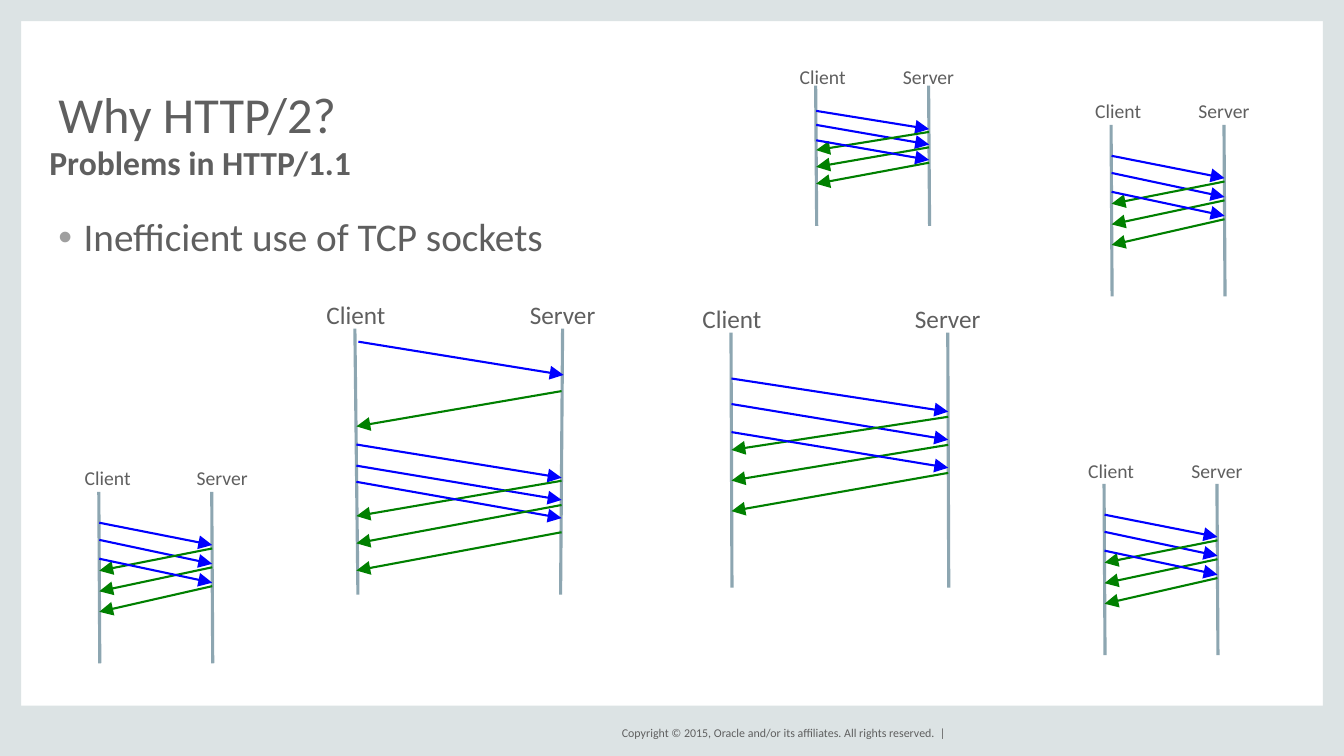
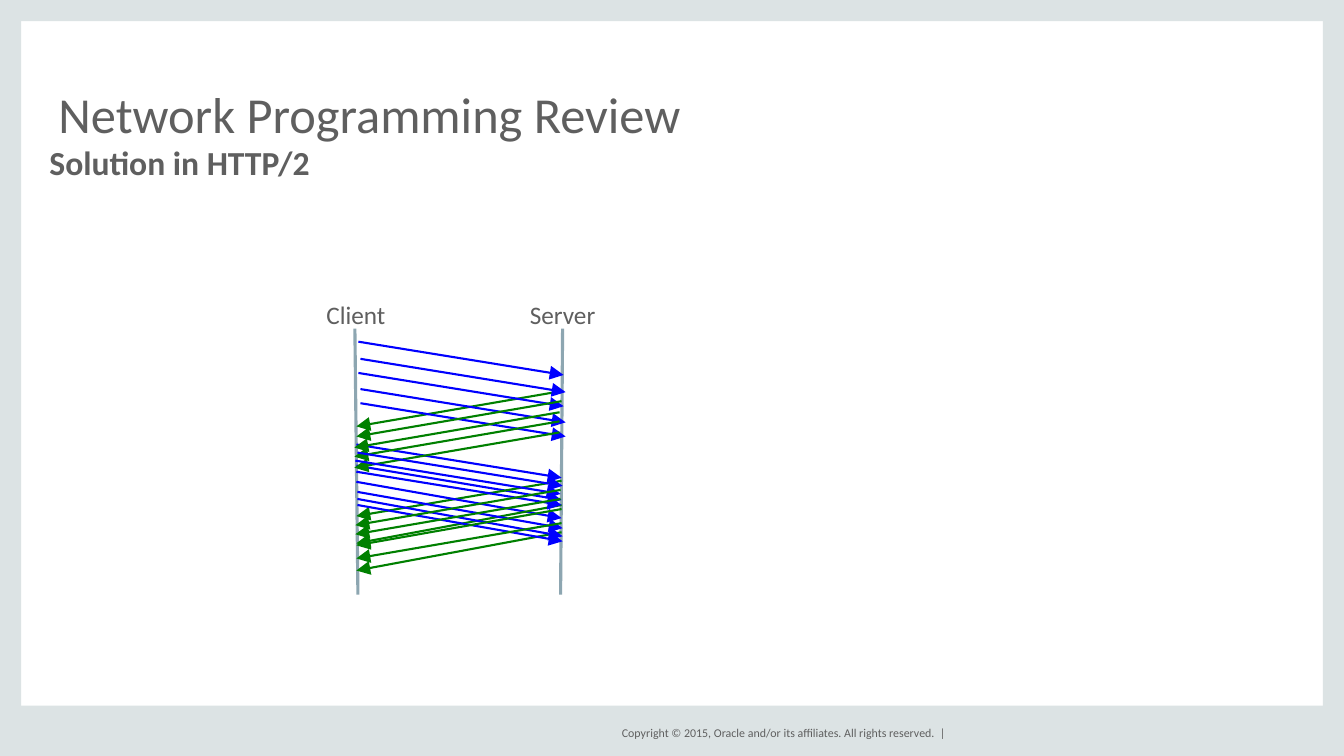
from dataclasses import dataclass

from lxml import etree
from pptx import Presentation
from pptx.dml.color import RGBColor
from pptx.enum.shapes import MSO_CONNECTOR as Connector, MSO_SHAPE as Shape
from pptx.enum.text import MSO_ANCHOR as Anchor, PP_ALIGN as Align
from pptx.oxml.ns import qn
from pptx.util import Inches, Pt

FONT = "Calibri"
TEXT, BULLET, FRAME, LIFELINE = "5F5F5F", "9F9F9F", "DCE3E4", "8DA6B1"
REQUEST, RESPONSE = "0000FF", "008000"

WIDTH, HEIGHT = 13.33, 7.5
SIDE, BOTTOM = 0.21, 0.5
FRAME_BANDS = [
    (0, 0, SIDE, HEIGHT),
    (WIDTH - SIDE, 0, SIDE, HEIGHT),
    (0, HEIGHT - BOTTOM, WIDTH, BOTTOM),
    (0, 0, WIDTH, SIDE),
]
FOOTER = "Copyright © 2015, Oracle and/or its affiliates. All rights reserved.  |"
LABEL_WIDTH, LABEL_HEIGHT, LABEL_INDENT = 0.8, 0.3, 0.15

# Messages are (kind, start, end, sideways shift), with heights in inches.
SEQUENCE = [
    (REQUEST, 3.39, 3.72, 0.02),
    (REQUEST, 4.41, 4.74, 0),
    (REQUEST, 4.62, 4.96, 0),
    (RESPONSE, 3.88, 4.23, 0),
    (RESPONSE, 4.77, 5.12, 0),
    (REQUEST, 4.78, 5.14, 0),
    (RESPONSE, 5.01, 5.39, 0),
    (RESPONSE, 5.28, 5.66, 0),
]
MULTIPLEXED = SEQUENCE + [
    (REQUEST, 3.56, 3.89, 0.04),
    (REQUEST, 3.70, 4.03, 0.02),
    (REQUEST, 3.86, 4.19, 0.04),
    (REQUEST, 4.00, 4.33, 0.04),
    (RESPONSE, 3.98, 4.33, 0),
    (RESPONSE, 4.09, 4.44, -0.02),
    (RESPONSE, 4.18, 4.53, -0.02),
    (RESPONSE, 4.29, 4.64, -0.02),
    (REQUEST, 4.49, 4.82, 0.01),
    (REQUEST, 4.57, 4.90, -0.01),
    (REQUEST, 4.68, 5.01, 0),
    (REQUEST, 4.88, 5.24, 0.01),
    (REQUEST, 4.95, 5.32, 0.01),
    (REQUEST, 5.01, 5.37, 0.01),
    (RESPONSE, 4.86, 5.21, -0.01),
    (RESPONSE, 4.95, 5.30, -0.01),
    (RESPONSE, 5.05, 5.41, 0),
    (RESPONSE, 5.19, 5.54, 0),
]
# Start and end as fractions of the lifeline.
PIPELINE = [
    (REQUEST, 0.18, 0.31),
    (REQUEST, 0.28, 0.42),
    (RESPONSE, 0.33, 0.46),
    (RESPONSE, 0.44, 0.58),
    (REQUEST, 0.39, 0.53),
    (RESPONSE, 0.55, 0.70),
]


@dataclass
class Diagram:
    """Lifelines are (top x, bottom x)."""
    client: tuple
    server: tuple
    top: float
    bottom: float
    label_top: float
    messages: list
    label_size: int = 18
    label_align: Align = Align.CENTER
    client_label_shift: float = 0.01


def pipelined(left, top, width, height, label_top, **label_style):
    messages = [(kind, top + start * height, top + end * height, 0)
                for kind, start, end in PIPELINE]
    right = left + width
    return Diagram((left, left + 0.01), (right, right + 0.01), top, top + height,
                   label_top, messages, **label_style)


def connection(messages):
    return Diagram((3.52, 3.55), (5.58, 5.56), 3.26, 5.9, 3.0, messages)


SMALL_LABELS = {"label_size": 14, "client_label_shift": 0.07}
SLIDES = [
    {
        "title": "Why HTTP/2?",
        "subtitle": "Problems in HTTP/1.1",
        "bullet": "Inefficient use of TCP sockets",
        "diagrams": [
            pipelined(7.25, 3.3, 2.15, 2.53, 3.04),
            connection(SEQUENCE),
            pipelined(10.95, 4.8, 1.12, 1.7, 4.58, **SMALL_LABELS),
            pipelined(11.02, 1.24, 1.12, 1.7, 1.01, **SMALL_LABELS),
            pipelined(0.98, 4.88, 1.12, 1.7, 4.65, label_size=14,
                      label_align=Align.LEFT),
            pipelined(8.09, 0.85, 1.12, 1.39, 0.67, **SMALL_LABELS),
        ],
    },
    {
        "title": "Network Programming Review",
        "subtitle": "Solution in HTTP/2",
        "diagrams": [connection(MULTIPLEXED)],
    },
]


def color(value):
    return RGBColor.from_string(value)


def add_bullet(paragraph):
    properties = paragraph._p.get_or_add_pPr()
    properties.set("marL", str(Inches(0.25)))
    properties.set("indent", str(Inches(-0.25)))
    bullet_color = etree.SubElement(properties, qn("a:buClr"))
    etree.SubElement(bullet_color, qn("a:srgbClr"), val=BULLET)
    etree.SubElement(properties, qn("a:buFont"), typeface="Arial")
    etree.SubElement(properties, qn("a:buChar"), char="•")


def add_text(shapes, text, box, size, bold=False, align=Align.LEFT, spacing=0.9,
             anchor=Anchor.TOP, wrap=True, bullet=False):
    frame = shapes.add_textbox(*map(Inches, box)).text_frame
    frame.margin_left = frame.margin_right = 0
    frame.margin_top = frame.margin_bottom = 0
    frame.word_wrap = wrap
    frame.vertical_anchor = anchor
    paragraph = frame.paragraphs[0]
    paragraph.text = text
    if bullet:
        add_bullet(paragraph)
    paragraph.alignment = align
    paragraph.line_spacing = spacing
    font = paragraph.font
    font.name, font.size, font.bold = FONT, Pt(size), bold
    font.color.rgb = color(TEXT)


def add_line(shapes, start, end, line_color, width, arrow=False):
    connector = shapes.add_connector(Connector.STRAIGHT, *map(Inches, start + end))
    connector.line.color.rgb = color(line_color)
    connector.line.width = Pt(width)
    if arrow:
        etree.SubElement(connector.line._get_or_add_ln(), qn("a:tailEnd"),
                         type="triangle", w="lg", len="lg")
    etree.SubElement(connector._element.spPr, qn("a:effectLst"))


def add_diagram(slide, diagram):
    shapes = slide.shapes.add_group_shape().shapes
    centered = diagram.label_align == Align.CENTER
    label_offset = LABEL_WIDTH / 2 if centered else LABEL_INDENT
    for name, (top_x, bottom_x), shift in (
            ("Client", diagram.client, diagram.client_label_shift),
            ("Server", diagram.server, 0)):
        label_box = (top_x + shift - label_offset, diagram.label_top,
                     LABEL_WIDTH, LABEL_HEIGHT)
        add_text(shapes, name, label_box, diagram.label_size,
                 align=diagram.label_align)
        add_line(shapes, (top_x, diagram.top), (bottom_x, diagram.bottom),
                 LIFELINE, 2.25)
    client_x = sum(diagram.client) / 2
    server_x = sum(diagram.server) / 2
    for kind, start, end, shift in diagram.messages:
        ends = (client_x, server_x) if kind == REQUEST else (server_x, client_x)
        add_line(shapes, (ends[0] + shift, start), (ends[1] + shift, end),
                 kind, 1.5, arrow=True)


def add_frame(slide):
    for band in FRAME_BANDS:
        shape = slide.shapes.add_shape(Shape.RECTANGLE, *map(Inches, band))
        shape.shadow.inherit = False
        shape.fill.solid()
        shape.fill.fore_color.rgb = color(FRAME)
        shape.line.fill.background()
    add_text(slide.shapes, FOOTER, (5.88, 7.17, 3.5, 0.2), 8.5, align=Align.RIGHT,
             spacing=1.0, anchor=Anchor.MIDDLE, wrap=False)


def add_slide(presentation, content):
    slide = presentation.slides.add_slide(presentation.slide_layouts[6])
    add_frame(slide)
    add_text(slide.shapes, content["title"], (0.58, 0.45, 12.17, 0.97), 36,
             spacing=0.8, anchor=Anchor.BOTTOM)
    if "bullet" in content:
        add_text(slide.shapes, content["bullet"], (0.58, 2.16, 12.17, 4.33), 28,
                 bullet=True)
    add_text(slide.shapes, content["subtitle"], (0.49, 1.45, 12.17, 0.38), 24, bold=True)
    for diagram in content["diagrams"]:
        add_diagram(slide, diagram)


def main():
    presentation = Presentation()
    presentation.slide_width = Inches(WIDTH)
    presentation.slide_height = Inches(HEIGHT)
    for content in SLIDES:
        add_slide(presentation, content)
    presentation.save("out.pptx")


if __name__ == "__main__":
    main()
